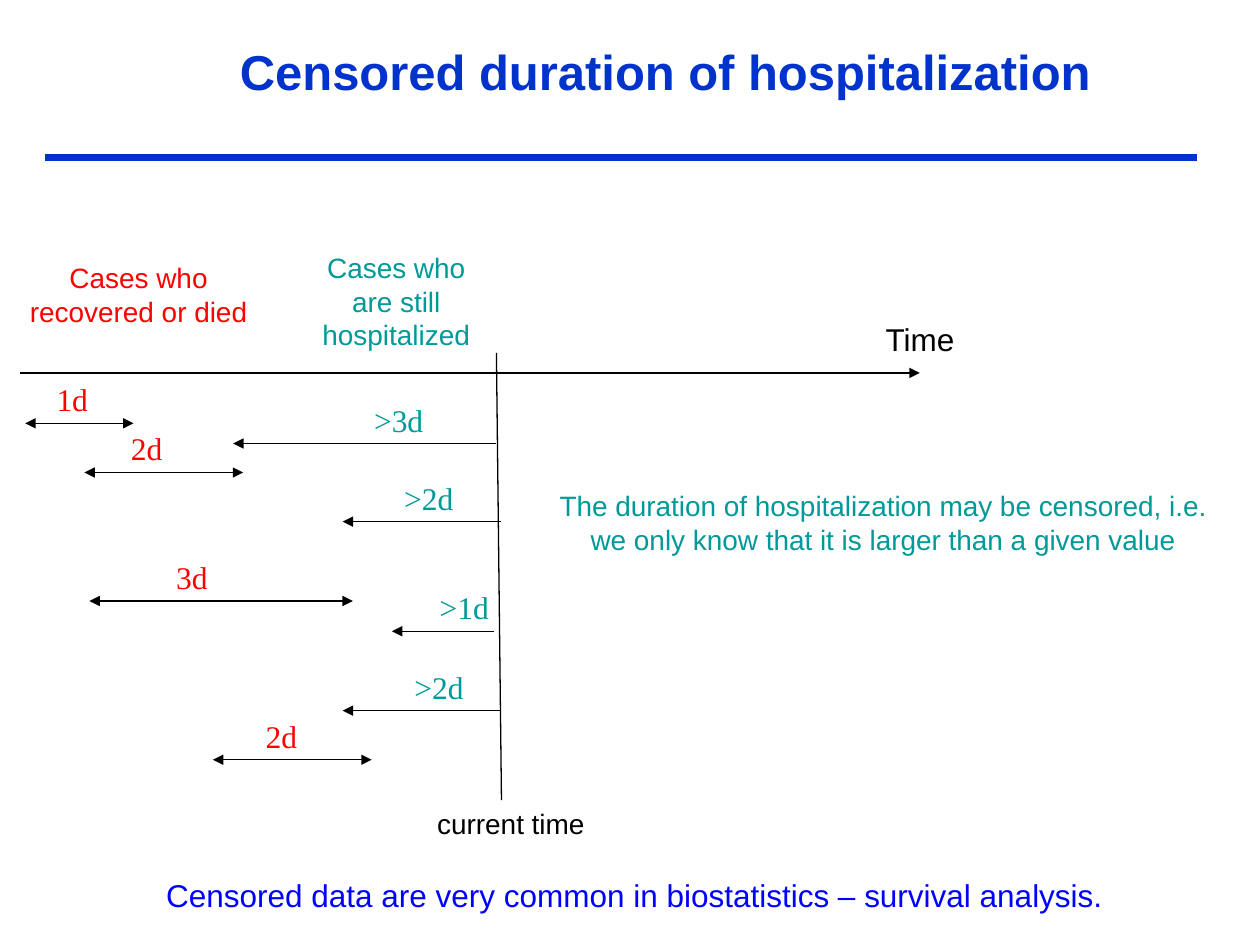
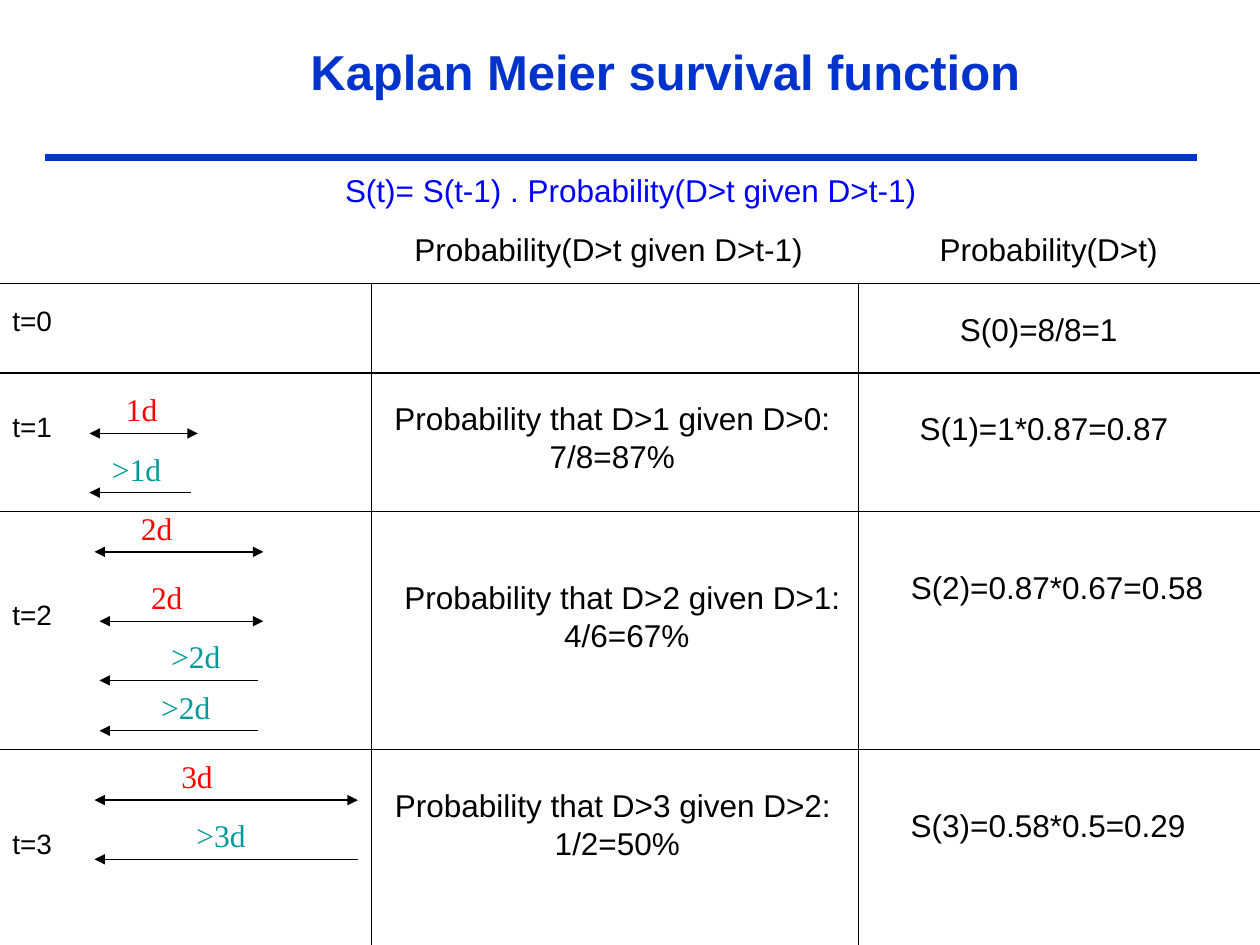
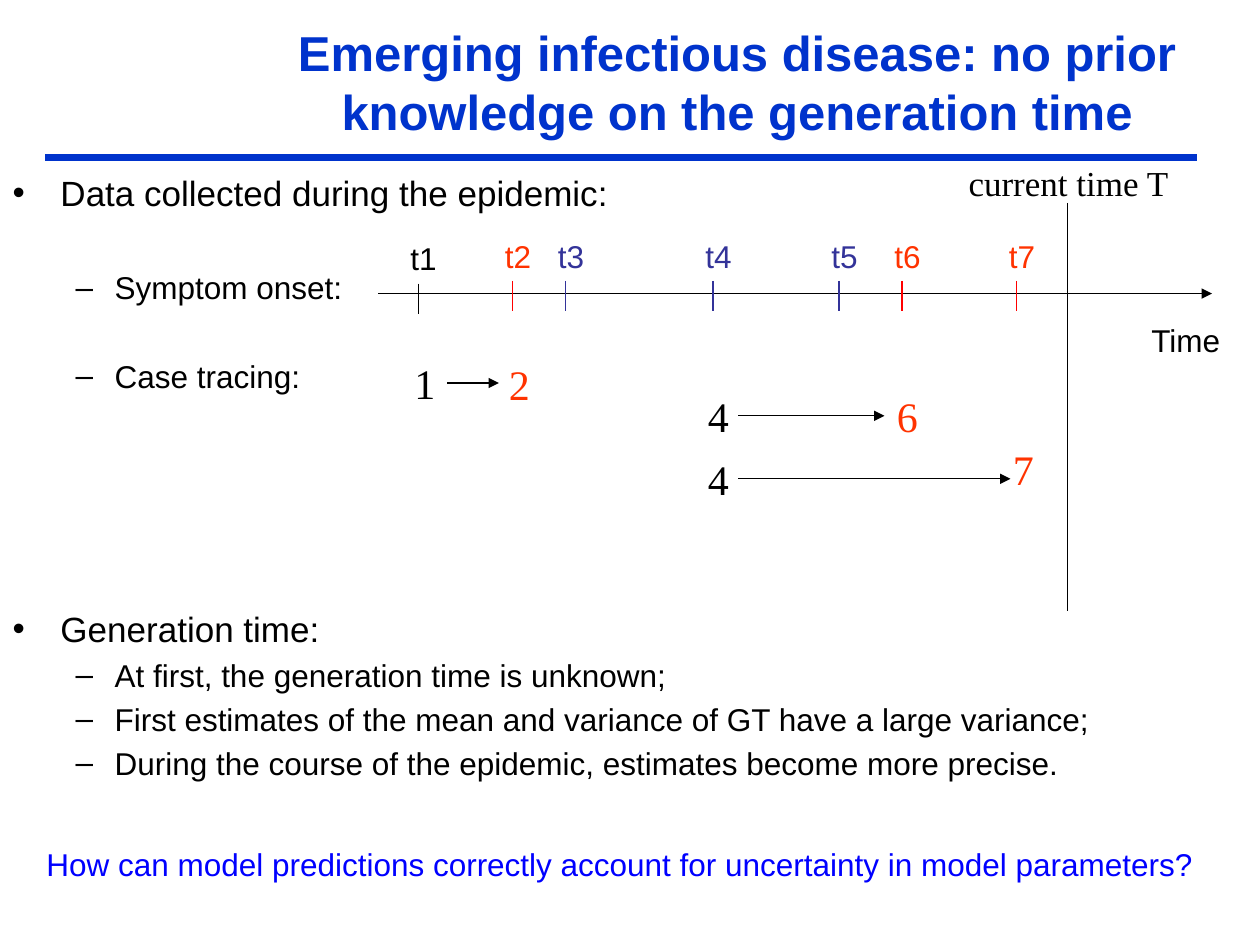
"""Build three slides on censored durations, Kaplan Meier survival and generation times."""
import pptx
import pptx.dml.color
import pptx.enum.shapes
import pptx.enum.text
import pptx.oxml.ns
import pptx.util
from lxml import etree
from pptx.util import Inches

RGBColor = pptx.dml.color.RGBColor
BLACK = RGBColor(0x00, 0x00, 0x00)
TITLE_BLUE = RGBColor(0x00, 0x33, 0xCC)
BLUE = RGBColor(0x00, 0x00, 0xFF)
RED = RGBColor(0xFF, 0x00, 0x00)
ORANGE = RGBColor(0xFF, 0x33, 0x00)
INDIGO = RGBColor(0x33, 0x33, 0x99)
TEAL = RGBColor(0x00, 0x99, 0x99)
SANS = "Arial"
SERIF = "Times New Roman"
CENTER = pptx.enum.text.PP_ALIGN.CENTER
LEFT = pptx.enum.text.PP_ALIGN.LEFT
TITLE_ONLY = 5
TWO_CONTENT = 3


class Deck:
    def __init__(self):
        self.prs = pptx.Presentation()
        self.prs.slide_width = Inches(10)
        self.prs.slide_height = Inches(7.5)
        self.s = None

    def style(self, p, size, color, font=SANS, align=LEFT, bold=False):
        p.font.size = pptx.util.Pt(size)
        p.font.color.rgb = color
        p.font.name = font
        p.font.bold = bold
        p.alignment = align

    def place(self, sp, left, top, width, height):
        sp.left, sp.top = Inches(left), Inches(top)
        sp.width, sp.height = Inches(width), Inches(height)
        sp.text_frame.auto_size = pptx.enum.text.MSO_AUTO_SIZE.NONE
        sp.text_frame.vertical_anchor = pptx.enum.text.MSO_ANCHOR.TOP

    def slide(self, title, box=(1.38, 0.28, 7.8, 0.57), layout=TITLE_ONLY):
        self.s = self.prs.slides.add_slide(self.prs.slide_layouts[layout])
        self.line(0.36, 1.25, 9.5, 1.25, TITLE_BLUE, 4.5)
        sp = self.s.shapes.title
        self.place(sp, *box)
        sp.text_frame.text = title
        self.style(sp.text_frame.paragraphs[0], 28, TITLE_BLUE, align=CENTER, bold=True)

    def line(self, x1, y1, x2, y2, color=BLACK, width=0.75, head=False, tail=False):
        sp = self.s.shapes.add_connector(
            pptx.enum.shapes.MSO_CONNECTOR.STRAIGHT,
            Inches(x1), Inches(y1), Inches(x2), Inches(y2))
        sp.line.color.rgb = color
        sp.line.width = pptx.util.Pt(width)
        ln = sp.line._get_or_add_ln()
        for tag, arrow in (("a:headEnd", head), ("a:tailEnd", tail)):
            if arrow:
                etree.SubElement(ln, pptx.oxml.ns.qn(tag), type="triangle")
        etree.SubElement(sp._element.spPr, pptx.oxml.ns.qn("a:effectLst"))

    def text(self, text, left, top, width, height=0.4, size=18, color=BLACK,
             font=SANS, align=LEFT):
        sp = self.s.shapes.add_textbox(
            Inches(left), Inches(top), Inches(width), Inches(height))
        tf = sp.text_frame
        tf.word_wrap = True
        tf.auto_size = pptx.enum.text.MSO_AUTO_SIZE.SHAPE_TO_FIT_TEXT
        tf.text = text
        for p in tf.paragraphs:
            self.style(p, size, color, font, align)

    def duration(self, label, label_x, x1, x2, y):
        censored = label.startswith(">")
        self.line(x1, y, x2, y, head=True, tail=not censored)
        self.text(label, label_x, y - 0.39, 0.75, color=TEAL if censored else RED, font=SERIF)

    def tick(self, label, x, y, line_color, text_color):
        self.line(x, y, x, y + 0.24, line_color)
        self.text(label, x - 0.16, y - 0.4, 0.47, color=text_color)

    def trace(self, source, source_x, target, target_x, target_y, x1, x2, y):
        self.line(x1, y, x2, y, tail=True)
        self.text(source, source_x, y - 0.25, 0.37, 0.5, 24, font=SERIF)
        self.text(target, target_x, target_y, 0.37, 0.5, 24, ORANGE, SERIF)

    def bullets(self, index, top, items):
        sp = self.s.placeholders[index]
        self.place(sp, 0, top, 10, 2.58)
        tf = sp.text_frame
        tf.text = "\n".join(text for text, _, _ in items)
        for p, (_, level, before) in zip(tf.paragraphs, items):
            p.level = level
            p.space_before = pptx.util.Pt(before)
            self.style(p, 18 if level else 20, BLACK)
            margin, indent = (0.81, -0.31) if level else (0.38, -0.38)
            pPr = p._p.get_or_add_pPr()
            pPr.set("marL", str(Inches(margin)))
            pPr.set("indent", str(Inches(indent)))


def censored_slide(d):
    d.slide("Censored duration of hospitalization")
    d.line(0.16, 2.96, 7.3, 2.96, tail=True)
    d.text("Time", 6.93, 2.49, 0.96)
    d.line(3.94, 2.8, 3.98, 6.35)
    d.text("current time", 3.27, 6.35, 1.57, 0.37, 16, align=CENTER)
    d.text("Cases who recovered or died", 0, 2.02, 2.2, 0.64, 16, RED, align=CENTER)
    d.text("Cases who are still hospitalized", 2.36, 1.94, 1.57, 0.9, 16, TEAL, align=CENTER)
    d.text("The duration of hospitalization may be censored, i.e. we only know "
           "that it is larger than a given value",
           4.33, 3.83, 5.36, 0.64, 16, TEAL, align=CENTER)
    d.text("Censored data are very common in biostatistics – survival analysis.",
           1.22, 6.9, 7.91, color=BLUE)
    for case in (
        ("1d", 0.35, 0.2, 1.06, 3.36),
        (">3d", 2.87, 1.85, 3.94, 3.52),
        ("2d", 0.94, 0.67, 1.93, 3.75),
        (">2d", 3.11, 2.72, 3.98, 4.14),
        ("3d", 1.3, 0.71, 2.8, 4.77),
        (">1d", 3.39, 3.11, 3.92, 5.01),
        (">2d", 3.19, 2.72, 3.98, 5.64),
        ("2d", 2.01, 1.69, 2.95, 6.03),
    ):
        d.duration(*case)


def survival_slide(d):
    d.slide("Kaplan Meier survival function")
    d.text("S(t)= S(t-1) . Probability(D>t given D>t-1)", 2.64, 1.31, 4.9, color=BLUE)
    for y in (2.25, 2.96, 4.06, 5.95):
        d.line(0, y, 10, y)
    d.line(2.95, 2.25, 2.95, 7.5)
    d.line(6.81, 2.25, 6.81, 7.5, width=0.25)
    for t, y in enumerate((2.36, 3.2, 4.69, 6.51)):
        d.text(f"t={t}", 0, y, 0.6, 0.37, 16)
    for text, x, y, width in (
        ("Probability(D>t given D>t-1)", 3.19, 1.78, 3.4),
        ("Probability(D>t)", 7.36, 1.78, 2.05),
        ("S(0)=8/8=1", 7.52, 2.41, 1.65),
        ("S(1)=1*0.87=0.87", 7.2, 3.2, 2.3),
        ("S(2)=0.87*0.67=0.58", 7.13, 4.46, 2.65),
        ("S(3)=0.58*0.5=0.29", 7.13, 6.35, 2.5),
    ):
        d.text(text, x, y, width)
    for text, x, y in (
        ("Probability that D>1 given D>0:\n7/8=87%", 2.91, 3.12),
        ("Probability that D>2 given D>1:\n 4/6=67%", 2.99, 4.54),
        ("Probability that D>3 given D>2: \n1/2=50%", 2.95, 6.19),
    ):
        d.text(text, x, y, 3.9, 0.7, align=CENTER)
    for case in (
        ("1d", 0.9, 0.71, 1.57, 3.44),
        (">1d", 0.79, 0.71, 1.52, 3.91),
        ("2d", 1.02, 0.75, 2.09, 4.38),
        ("2d", 1.1, 0.79, 2.09, 4.93),
        (">2d", 1.26, 0.79, 2.05, 5.4),
        (">2d", 1.18, 0.79, 2.05, 5.8),
        ("3d", 1.34, 0.75, 2.84, 6.35),
        (">3d", 1.46, 0.75, 2.84, 6.82),
    ):
        d.duration(*case)


def generation_slide(d):
    d.slide("Emerging infectious disease: no prior knowledge on the generation time",
            (1.93, 0.13, 7.84, 1.03), TWO_CONTENT)
    d.bullets(1, 1.31, (
        ("Data collected during the epidemic:", 0, 0),
        ("Symptom onset:", 1, 31.5),
        ("Case tracing:", 1, 29),
    ))
    d.bullets(2, 4.77, (
        ("Generation time:", 0, 0),
        ("At first, the generation time is unknown;", 1, 3.6),
        ("First estimates of the mean and variance of GT have a large variance;", 1, 3.6),
        ("During the course of the epidemic, estimates become more precise.", 1, 3.6),
    ))
    d.line(3, 2.33, 9.62, 2.33, tail=True)
    d.text("Time", 9.04, 2.5, 0.96)
    d.line(8.47, 1.61, 8.47, 4.85)
    d.text("current time T", 7.44, 1.23, 2.08, 0.43, 20, font=SERIF, align=CENTER)
    d.tick("t1", 3.32, 2.25, BLACK, BLACK)
    for label, x in (("t2", 4.07), ("t6", 7.16), ("t7", 8.07)):
        d.tick(label, x, 2.23, RED, ORANGE)
    for label, x in (("t3", 4.49), ("t4", 5.66), ("t5", 6.66)):
        d.tick(label, x, 2.23, INDIGO, INDIGO)
    d.trace("1", 3.19, "2", 3.94, 2.8, 3.55, 3.96, 3.04)
    d.trace("4", 5.52, "6", 7.02, 3.05, 5.86, 7.02, 3.3)
    d.trace("4", 5.52, "7", 7.94, 3.47, 5.86, 8.02, 3.8)
    d.text("How can model predictions correctly account for uncertainty in model parameters?",
           0.27, 6.66, 9.37, color=BLUE)


def main():
    d = Deck()
    censored_slide(d)
    survival_slide(d)
    generation_slide(d)
    d.prs.save("out.pptx")


if __name__ == "__main__":
    main()
